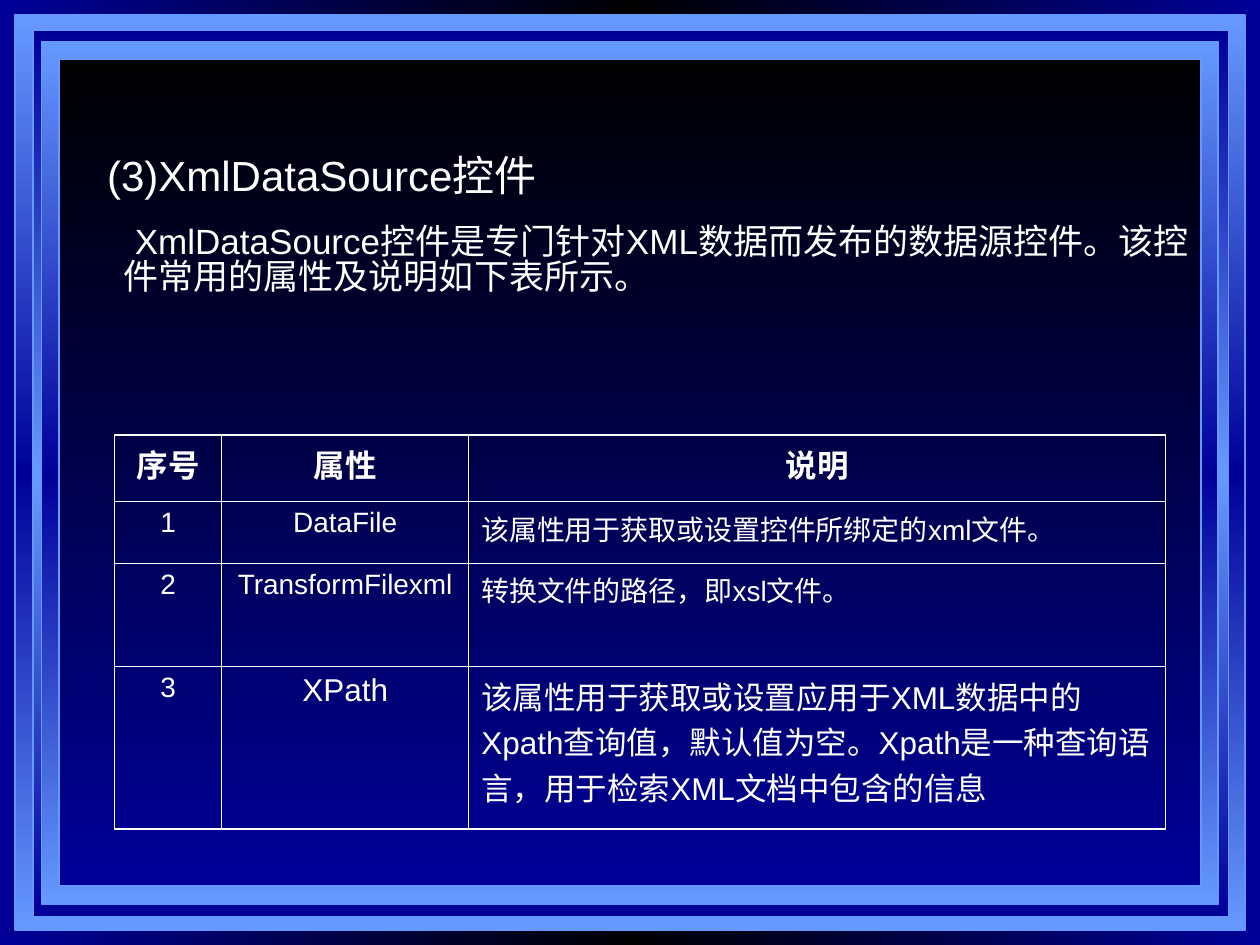
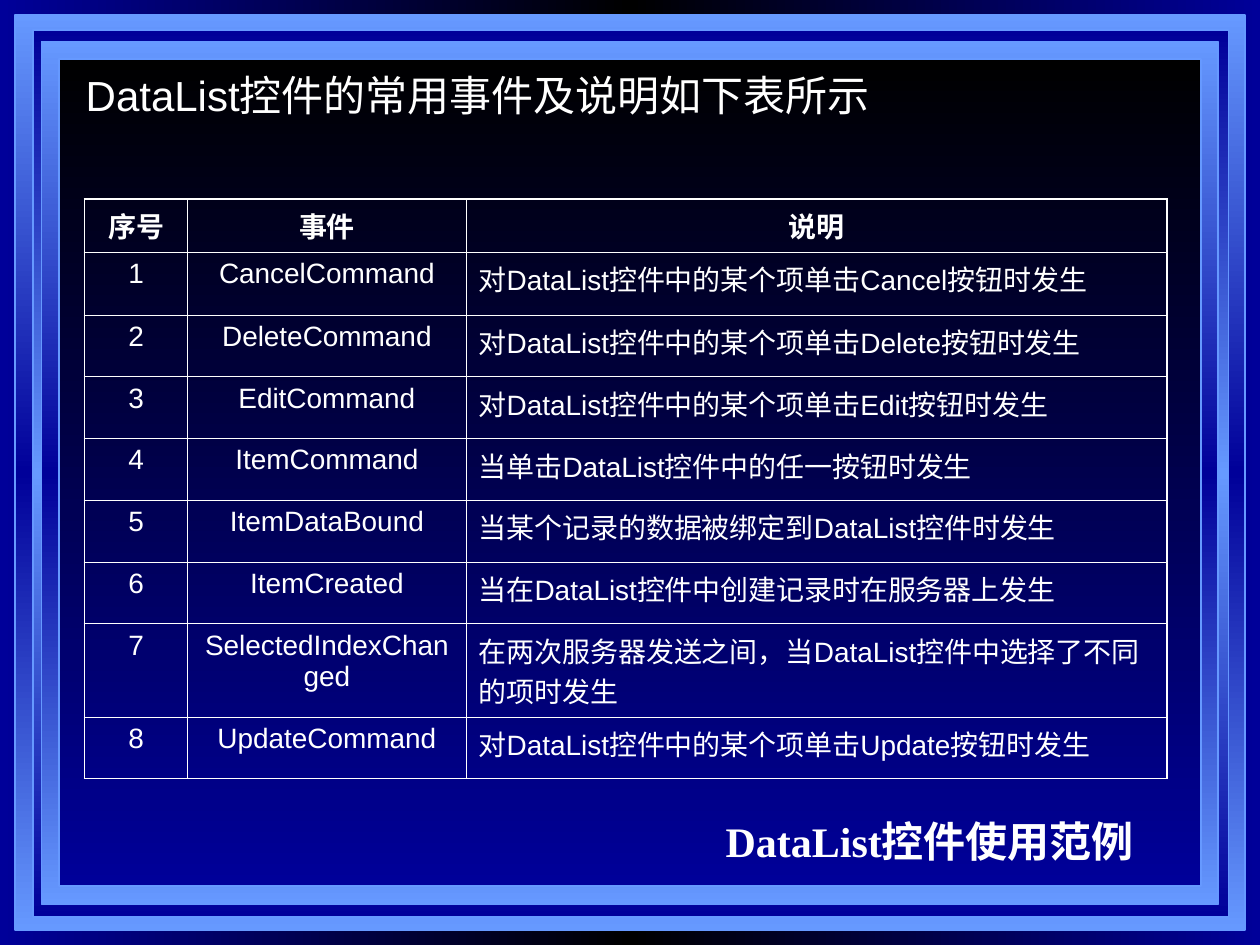
from lxml import etree
from pptx import Presentation
from pptx import util as u
from pptx.dml.color import RGBColor
from pptx.enum import lang, shapes, text
from pptx.oxml.ns import qn

WHITE, SKY, NAVY, BLACK = "FFFFFF", "6699FF", "000099", "000000"
LEFT, CENTER, RIGHT = text.PP_ALIGN.LEFT, text.PP_ALIGN.CENTER, text.PP_ALIGN.RIGHT
OUTER, INNER = 1.08, 0.45  # table rule widths in points

BANDS = [
    ((0.12, 0.12, 9.76, 7.26), (SKY, NAVY, SKY)),
    ((0.26, 0.24, 9.49, 7.04), (NAVY, SKY, NAVY)),
    ((0.33, 0.33, 9.34, 6.85), (SKY, NAVY, SKY)),
    ((0.47, 0.47, 9.06, 6.56), (BLACK, NAVY)),
]
PROPS = [
    ("序号", "属性", "说明"),
    ("1", "DataFile", "该属性用于获取或设置控件所绑定的xml文件。"),
    ("2", "TransformFilexml", "转换文件的路径，即xsl文件。"),
    ("3", "XPath", "该属性用于获取或设置应用于XML数据中的Xpath查询值，默认值为空。"
                   "Xpath是一种查询语言，用于检索XML文档中包含的信息"),
]
EVENTS = [
    ("序号", "事件", "说明"),
    ("1", "CancelCommand", "对DataList控件中的某个项单击Cancel按钮时发生"),
    ("2", "DeleteCommand", "对DataList控件中的某个项单击Delete按钮时发生"),
    ("3", "EditCommand", "对DataList控件中的某个项单击Edit按钮时发生"),
    ("4", "ItemCommand", "当单击DataList控件中的任一按钮时发生"),
    ("5", "ItemDataBound", "当某个记录的数据被绑定到DataList控件时发生"),
    ("6", "ItemCreated", "当在DataList控件中创建记录时在服务器上发生"),
    ("7", "SelectedIndexChanged", "在两次服务器发送之间，当DataList控件中选择了不同的项时发生"),
    ("8", "UpdateCommand", "对DataList控件中的某个项单击Update按钮时发生"),
]


def color(code):
    return RGBColor.from_string(code)


def inches(values):
    return [u.Inches(v) for v in values]


def blend(fill, node, codes, angle):
    """Give a fill evenly spaced gradient stops; node is the element that holds it."""
    fill.gradient()
    fill.gradient_angle = angle
    stops = next(node.iter(qn("a:gsLst")))
    for old in list(stops):
        stops.remove(old)
    for i, code in enumerate(codes):
        stop = etree.SubElement(stops, qn("a:gs"), pos=str(100000 * i // (len(codes) - 1)))
        etree.SubElement(stop, qn("a:srgbClr"), val=code)


def rule(cell, edges):
    """Draw the left, right, top and bottom borders, widths in points."""
    props = cell._tc.get_or_add_tcPr()
    for i, (side, width) in enumerate(zip("LRTB", edges)):
        line = etree.Element(qn("a:ln" + side), w=str(u.Pt(width)))
        fill = etree.SubElement(line, qn("a:solidFill"))
        etree.SubElement(fill, qn("a:srgbClr"), val=WHITE)
        props.insert(i, line)


class Deck:
    def __init__(self):
        self.prs = Presentation()
        self.prs.slide_width, self.prs.slide_height = inches((10, 7.5))
        self.slide = None

    def start(self):
        self.slide = self.prs.slides.add_slide(self.prs.slide_layouts[1])

    def frame(self):
        """Put the background and the nested bands on the slide master."""
        master = self.prs.slide_master
        fill = master.background.fill
        blend(fill, master._element.cSld.bg, (NAVY, BLACK, NAVY), 0)
        for i, (box, codes) in enumerate(BANDS):
            band = self.slide.shapes.add_shape(shapes.MSO_SHAPE.RECTANGLE, *inches(box))
            band.shadow.inherit = False
            blend(band.fill, band._element.spPr, codes, 270)
            band.line.color.rgb = color(SKY)
            band.line.width = u.Pt(1)
            node = band._element
            node.nvSpPr.cNvPr.id = 20 + i
            master.shapes._spTree.insert(2 + i, node)

    def label(self, frame, words, size, align=LEFT, face="Arial", bold=False):
        para = frame.paragraphs[0]
        para.alignment = align
        para.space_before = u.Pt(0)
        run = para.add_run()
        run.text = words
        font = run.font
        font.name, font.size, font.bold = face, u.Pt(size), bold
        font.color.rgb = color(WHITE)
        font.language_id = lang.MSO_LANGUAGE_ID.SIMPLIFIED_CHINESE
        return para

    def place(self, shape, box):
        shape.left, shape.top, shape.width, shape.height = inches(box)
        shape.text_frame.auto_size = text.MSO_AUTO_SIZE.NONE
        shape.text_frame.word_wrap = True
        return shape.text_frame

    def title(self, words, box):
        frame = self.place(self.slide.shapes.title, box)
        frame.vertical_anchor = text.MSO_ANCHOR.MIDDLE
        frame.margin_top = u.Inches(0.23)
        self.label(frame, words, 24)

    def body(self, words, box, size, hang=0.0, first=0.0, pitch=1.0):
        frame = self.place(self.slide.placeholders[1], box)
        para = self.label(frame, words, size)
        para.line_spacing = pitch
        props = para._p.get_or_add_pPr()
        props.set("marL", str(u.Inches(hang)))
        props.set("indent", str(u.Inches(first)))
        etree.SubElement(props, qn("a:buNone"))

    def note(self, words, box):
        frame = self.place(self.slide.shapes.add_textbox(0, 0, 0, 0), box)
        frame.margin_right = u.Inches(0.16)
        self.label(frame, words, 24, RIGHT, "Times New Roman", True)

    def table(self, rows, box, widths, heights, size):
        """Add a ruled table; size(row, col) gives the text size of a cell."""
        grid = self.slide.shapes.add_table(len(rows), len(widths), *inches(box)).table
        grid.first_row = grid.horz_banding = False
        for col, width in zip(grid.columns, widths):
            col.width = u.Inches(width)
        for row, height in zip(grid.rows, heights):
            row.height = u.Inches(height)
        end, edge = len(rows) - 1, len(widths) - 1
        for r, row in enumerate(rows):
            for c, words in enumerate(row):
                cell = grid.cell(r, c)
                cell.fill.background()
                align = LEFT if r and c == edge else CENTER
                self.label(cell.text_frame, words, size(r, c), align, bold=r == 0)
                ends = (c == 0, c == edge, r == 0, r == end)
                rule(cell, [OUTER if e else INNER for e in ends])


def main():
    deck = Deck()

    deck.start()
    deck.frame()
    deck.title("(3)XmlDataSource控件", (0.75, 0.67, 8.5, 1.25))
    deck.body("XmlDataSource控件是专门针对XML数据而发布的数据源控件。"
              "该控件常用的属性及说明如下表所示。",
              (0.5, 1.75, 9.17, 4.95), 20, hang=0.38, first=0.09, pitch=0.83)
    deck.table(PROPS, (0.91, 3.45, 8.34, 3.13), (0.85, 1.96, 5.53),
               (0.53, 0.49, 0.82, 1.29),
               lambda r, c: 18 if r == 0 or (r == 3 and c) else 16)

    deck.start()
    title = deck.slide.shapes.title._element
    title.getparent().remove(title)
    deck.body("DataList控件的常用事件及说明如下表所示", (0.58, 0.5, 8.75, 6.33), 24)
    deck.table(EVENTS, (0.67, 1.58, 8.58, 4.51), (0.82, 2.21, 5.56),
               [0.42, 0.5] + [0.49] * 5 + [0.64, 0.49], lambda r, c: 16)
    deck.note("DataList控件使用范例", (4.83, 6.42, 4.33, 0.5))

    deck.prs.save("out.pptx")


if __name__ == "__main__":
    main()
